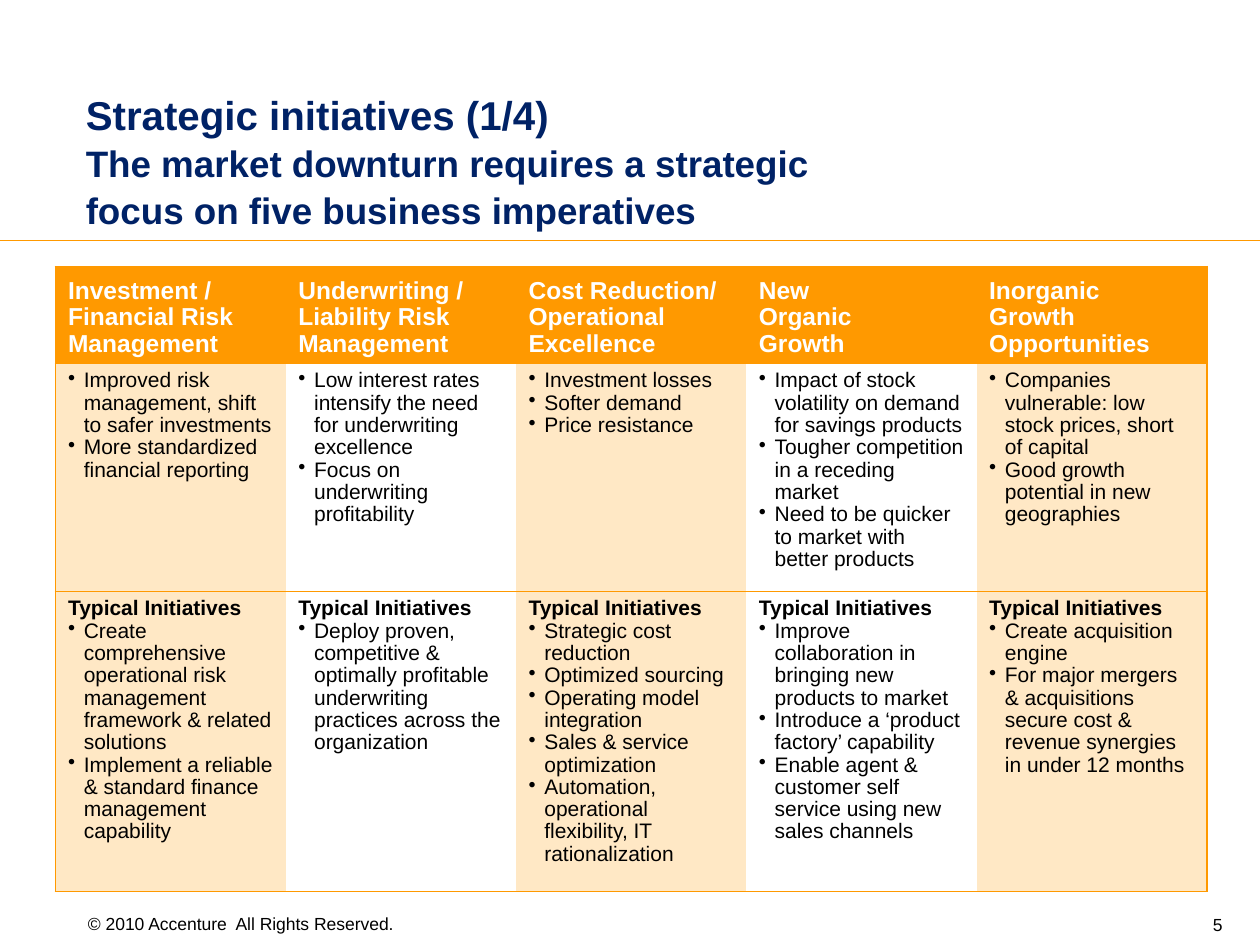
import pptx
import pptx.util
import pptx.dml.color
import pptx.enum.text
import pptx.oxml
import pptx.oxml.ns

Pt = pptx.util.Pt
RGBColor = pptx.dml.color.RGBColor
Anchor = pptx.enum.text.MSO_ANCHOR
Align = pptx.enum.text.PP_ALIGN
qn = pptx.oxml.ns.qn

ORANGE = RGBColor(0xFF, 0x99, 0x00)
PEACH = RGBColor(0xFF, 0xE8, 0xC5)
NAVY = RGBColor(0x00, 0x22, 0x66)
BLACK = RGBColor(0, 0, 0)
WHITE = RGBColor(255, 255, 255)
NAMESPACE = 'xmlns:a="http://schemas.openxmlformats.org/drawingml/2006/main"'
NO_GRID_STYLE = "{2D5ABB26-0587-4C30-8999-92F81FD0307C}"

TYPICAL = "Typical Initiatives"
# One entry per imperative: heading, market drivers, initiatives
IMPERATIVES = [
    (["Investment /\vFinancial Risk Management"],
     ["Improved risk management, shift to safer investments",
      "More standardized financial reporting"],
     ["Create comprehensive operational risk management framework & related solutions",
      "Implement a reliable & standard finance management capability"]),
    (["Underwriting / Liability Risk Management"],
     ["Low interest rates intensify the need for underwriting excellence",
      "Focus on underwriting profitability"],
     ["Deploy proven, competitive & optimally profitable underwriting practices "
      "across the organization"]),
    (["Cost Reduction/ Operational Excellence"],
     ["Investment losses", "Softer demand", "Price resistance"],
     ["Strategic cost reduction", "Optimized sourcing", "Operating model integration",
      "Sales & service optimization",
      "Automation, operational flexibility, IT rationalization"]),
    (["New", "Organic", "Growth"],
     ["Impact of stock volatility on demand for savings products",
      "Tougher competition in a receding market",
      "Need to be quicker to market with better products"],
     ["Improve collaboration in bringing new products to market",
      "Introduce a ‘product factory’ capability",
      "Enable agent & customer self service using new sales channels"]),
    (["Inorganic", "Growth Opportunities"],
     ["Companies vulnerable: low stock prices, short of capital",
      "Good growth potential in new geographies"],
     ["Create acquisition engine",
      "For major mergers & acquisitions secure cost & revenue synergies in under 12 months"]),
]


def style_runs(paragraph, size, color, bold=False):
    for run in paragraph.runs:
        run.font.name = "Arial"
        run.font.size = Pt(size)
        run.font.bold = bold
        run.font.color.rgb = color


def add_border(cell, side):
    """Draw one edge of a cell; side is L, R, T or B, called in that order."""
    cell._tc.get_or_add_tcPr().append(pptx.oxml.parse_xml(
        f'<a:ln{side} {NAMESPACE} w="12700"><a:solidFill><a:srgbClr val="{ORANGE}"/>'
        f'</a:solidFill></a:ln{side}>'))


presentation = pptx.Presentation()
presentation.slide_width = Pt(720)
presentation.slide_height = Pt(540)
slide = presentation.slides.add_slide(presentation.slide_layouts[5])

# Title and the rule under it
title = slide.shapes.title
title.left, title.top, title.width, title.height = Pt(41.8), Pt(46), Pt(486.7), Pt(90)
title_frame = title.text_frame
title_frame.text = ("Strategic initiatives (1/4)\v"
                    "The market downturn requires a strategic focus on five business imperatives")
title_frame.auto_size = pptx.enum.text.MSO_AUTO_SIZE.NONE
title_frame.word_wrap = True
title_frame.vertical_anchor = Anchor.BOTTOM
heading = title_frame.paragraphs[0]
heading.alignment = Align.LEFT
heading.line_spacing = 1.06
style_runs(heading, 21, NAVY, bold=True)
heading.runs[0].font.size = Pt(23)

rule = slide.shapes.add_connector(1, Pt(0), Pt(137.5), Pt(720), Pt(137.5))
rule.line.color.rgb = ORANGE
rule.line.width = Pt(1)
rule._element.spPr.append(pptx.oxml.parse_xml(f"<a:effectLst {NAMESPACE}/>"))

# Table of imperatives
row_heights = [55.4, 130.3, 171.4]
table = slide.shapes.add_table(3, len(IMPERATIVES), Pt(31.7), Pt(152.4),
                               Pt(658), Pt(sum(row_heights))).table
table.first_row = table.horz_banding = False
table._tbl.tblPr.find(qn("a:tableStyleId")).text = NO_GRID_STYLE
for row, height in zip(table.rows, row_heights):
    row.height = Pt(height)

for col, imperative in enumerate(IMPERATIVES):
    table.columns[col].width = Pt(131.6)
    for row, lines in enumerate(imperative):
        is_header = row == 0
        cell = table.cell(row, col)
        if col == 0:
            add_border(cell, "L")
        if col == len(IMPERATIVES) - 1:
            add_border(cell, "R")
        add_border(cell, "T")
        add_border(cell, "B")
        if is_header or col % 2 == 0:
            cell.fill.solid()
            cell.fill.fore_color.rgb = ORANGE if is_header else PEACH
        else:
            cell.fill.background()
        cell.vertical_anchor = Anchor.BOTTOM if is_header else Anchor.TOP

        if row == 2:
            lines = [TYPICAL] + lines
        cell.text_frame.text = "\n".join(lines)
        for paragraph in cell.text_frame.paragraphs:
            is_label = paragraph.text == TYPICAL
            if not is_header:
                properties = paragraph._p.get_or_add_pPr()
                properties.set("marL", str(Pt(9)))
                properties.set("indent", str(-Pt(9)))
                if not is_label:
                    properties.append(pptx.oxml.parse_xml(f'<a:buChar {NAMESPACE} char="•"/>'))
            paragraph.line_spacing = 0.95
            style_runs(paragraph, 14 if is_header else 12,
                       WHITE if is_header else BLACK, is_header or is_label)

# Footer: copyright and page number
for text, left, top, width, height, inset, align, spacing in [
    ("© 2010 Accenture  All Rights Reserved.", 43.2, 514.8, 455.8, 22.3, 7.2, Align.LEFT, 1.0),
    ("5", 572.4, 516.2, 133.2, 21.6, 7.2, Align.RIGHT, 0.8),
]:
    footer = slide.shapes.add_textbox(Pt(left), Pt(top), Pt(width), Pt(height)).text_frame
    footer.word_wrap = True
    footer.vertical_anchor = Anchor.BOTTOM
    footer.margin_left = footer.margin_right = Pt(inset)
    footer.text = text
    footer.paragraphs[0].alignment = align
    footer.paragraphs[0].line_spacing = spacing
    style_runs(footer.paragraphs[0], 10, BLACK)

presentation.save("out.pptx")
